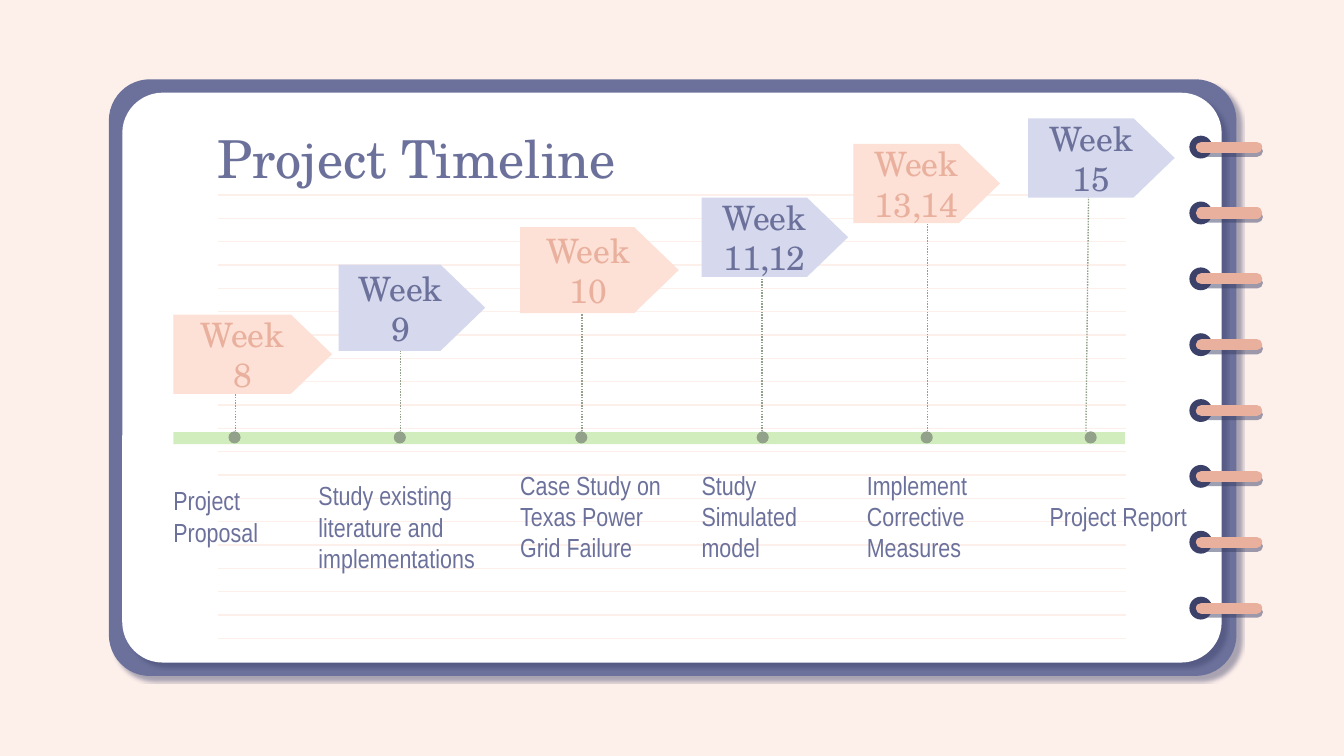
from dataclasses import dataclass

from lxml import etree
from pptx import Presentation
from pptx import util as u
from pptx.dml.color import RGBColor
from pptx.enum import dml, shapes, text
from pptx.oxml import ns

# The page is a grid of 0.1 inch cells
COLUMNS, ROWS = 100, 56.25
CELL = 0.1

BLUSH = RGBColor(0xFD, 0xEF, 0xEA)
PEACH = RGBColor(0xFD, 0xE0, 0xD6)
CORAL = RGBColor(0xE9, 0xB0, 0x9D)
LAVENDER = RGBColor(0xD6, 0xD9, 0xED)
INDIGO = RGBColor(0x6B, 0x71, 0x9B)
NAVY = RGBColor(0x3C, 0x41, 0x69)
SAGE = RGBColor(0x92, 0xA1, 0x89)
GREEN = RGBColor(0xD1, 0xED, 0xBE)
WHITE = RGBColor(0xFF, 0xFF, 0xFF)

SERIF, NARROW = "TeX Gyre Schola", "Arial Narrow"


@dataclass(frozen=True)
class Area:
    column: float
    row: float
    columns: float
    rows: float

    def lengths(self) -> list:
        return [cells(n) for n in (self.column, self.row, self.columns, self.rows)]


@dataclass(frozen=True)
class Shadow:
    opacity: int
    blur: float
    distance: float
    angle: int


@dataclass(frozen=True)
class Milestone:
    week: str
    task: str
    tag: Area
    note: Area
    dot: float
    stem_foot: float
    stem_head: float
    stem_top: float


PAGE_SHADOW = Shadow(44, 1.1, 4.5, 44)
RING_SHADOW = Shadow(50, 0, 2.2, 80)

MILESTONES = [
    Milestone("Week 8", "Project Proposal", Area(12.9, 23.4, 11.8, 5.9),
              Area(12.9, 35.2, 11.8, 6.4), 17.45, 17.5, 17.5, 27.1),
    Milestone("Week 9", "Study existing literature and implementations",
              Area(25.2, 19.7, 10.9, 6.4), Area(23.7, 33.5, 13.3, 11.4),
              29.75, 29.8, 29.8, 24.3),
    Milestone("Week 10", "Case Study on Texas Power Grid Failure",
              Area(38.7, 16.9, 11.8, 6.4), Area(38.7, 35.2, 11.8, 6.4),
              43.25, 43.3, 43.3, 20.7),
    Milestone("Week 11,12", "Study Simulated model", Area(52.2, 14.7, 10.9, 5.9),
              Area(52.2, 35.2, 11.8, 6.4), 56.75, 56.7, 56.7, 17.4),
    Milestone("Week 13,14", "Implement Corrective Measures",
              Area(63.5, 10.7, 10.9, 5.9), Area(64.5, 35.2, 11.8, 6.4),
              68.95, 69, 69, 14),
    Milestone("Week 15", "Project Report", Area(76.5, 8.8, 10.9, 5.9),
              Area(78.1, 35.2, 11.8, 6.4), 81.15, 80.8, 81, 14.1),
]


def cells(count: float) -> u.Length:
    return u.Inches(count * CELL)


def set_effects(item, shadow: Shadow | None = None) -> None:
    """Give a shape or connector its own shadow, or none."""
    effects = etree.SubElement(item._element.spPr, ns.qn("a:effectLst"))
    if shadow:
        outer = etree.SubElement(
            effects, ns.qn("a:outerShdw"), blurRad=str(u.Pt(shadow.blur)),
            dist=str(u.Pt(shadow.distance)), dir=str(shadow.angle * 60000),
            algn="bl", rotWithShape="0")
        color = etree.SubElement(outer, ns.qn("a:srgbClr"), val=str(NAVY))
        etree.SubElement(color, ns.qn("a:alpha"), val=str(shadow.opacity * 1000))


def add_shape(page, kind, area: Area, fill: RGBColor,
              adjustment: float | None = None, shadow: Shadow | None = None):
    shape = page.shapes.add_shape(kind, *area.lengths())
    shape.fill.solid()
    shape.fill.fore_color.rgb = fill
    shape.line.fill.background()
    if adjustment is not None:
        shape.adjustments[0] = adjustment
    set_effects(shape, shadow)
    return shape


def add_line(page, start: tuple, end: tuple, color: RGBColor, width: float = 0.75,
             shadow: Shadow | None = None):
    points = [cells(n) for n in (*start, *end)]
    line = page.shapes.add_connector(shapes.MSO_CONNECTOR.STRAIGHT, *points)
    line.line.color.rgb = color
    line.line.width = u.Pt(width)
    set_effects(line, shadow)
    return line


def write(shape, words: str, font: str, size: int, color: RGBColor,
          align=text.PP_ALIGN.LEFT, left_inset: float = 1) -> None:
    frame = shape.text_frame
    frame.word_wrap = True
    frame.vertical_anchor = text.MSO_ANCHOR.MIDDLE
    frame.margin_left = cells(left_inset)
    frame.margin_top = frame.margin_right = frame.margin_bottom = cells(1)
    paragraph = frame.paragraphs[0]
    paragraph.text = words
    paragraph.alignment = align
    paragraph.font.name = font
    paragraph.font.size = u.Pt(size)
    paragraph.font.color.rgb = color


def draw_notebook(page) -> None:
    rounded = shapes.MSO_SHAPE.ROUNDED_RECTANGLE
    add_shape(page, rounded, Area(8.1, 5.9, 83.9, 44.4), INDIGO, 0.069, PAGE_SHADOW)
    add_shape(page, rounded, Area(9.1, 6.9, 81.8, 42.4), WHITE, 0.071, PAGE_SHADOW)
    # Ruled lines
    for index in range(20):
        row = 14.5 + index * 33 / 19
        add_line(page, (16.2, row), (83.8, row), BLUSH)
    # Binding rings
    for index in range(8):
        row = 10.95 + index * 4.9
        add_shape(page, shapes.MSO_SHAPE.OVAL, Area(88.5, row - 0.85, 1.7, 1.7), NAVY)
        ring = add_line(page, (93.5, row), (89.4, row), CORAL, 6, RING_SHADOW)
        ring.line._get_or_add_ln().set("cap", "rnd")


def draw_timeline(page) -> None:
    # Dotted stems, behind the bar and the tags
    for item in MILESTONES:
        stem = add_line(page, (item.stem_foot, 32.1), (item.stem_head, item.stem_top),
                        SAGE)
        stem.line.dash_style = dml.MSO_LINE.ROUND_DOT
    add_shape(page, shapes.MSO_SHAPE.RECTANGLE, Area(12.9, 32.15, 70.8, 0.9), GREEN)
    # Dot, week tag and task of each milestone
    for index, item in enumerate(MILESTONES):
        fill, ink = [(PEACH, CORAL), (LAVENDER, INDIGO)][index % 2]
        add_shape(page, shapes.MSO_SHAPE.OVAL,
                  Area(item.dot - 0.45, 32.1, 0.9, 0.9), SAGE)
        tag = add_shape(page, shapes.MSO_SHAPE.PENTAGON, item.tag, fill, 0.518)
        write(tag, item.week, SERIF, 18, ink, text.PP_ALIGN.CENTER)
        note = page.shapes.add_textbox(*item.note.lengths())
        write(note, item.task, NARROW, 14, INDIGO, left_inset=0)


def main() -> None:
    deck = Presentation()
    deck.slide_width, deck.slide_height = cells(COLUMNS), cells(ROWS)
    page = deck.slides.add_slide(deck.slide_layouts[6])
    page.background.fill.solid()
    page.background.fill.fore_color.rgb = BLUSH
    draw_notebook(page)
    title = page.shapes.add_textbox(*Area(15.2, 9.4, 50.2, 4.6).lengths())
    write(title, "Project Timeline", SERIF, 28, INDIGO)
    draw_timeline(page)
    deck.save("out.pptx")


if __name__ == "__main__":
    main()
